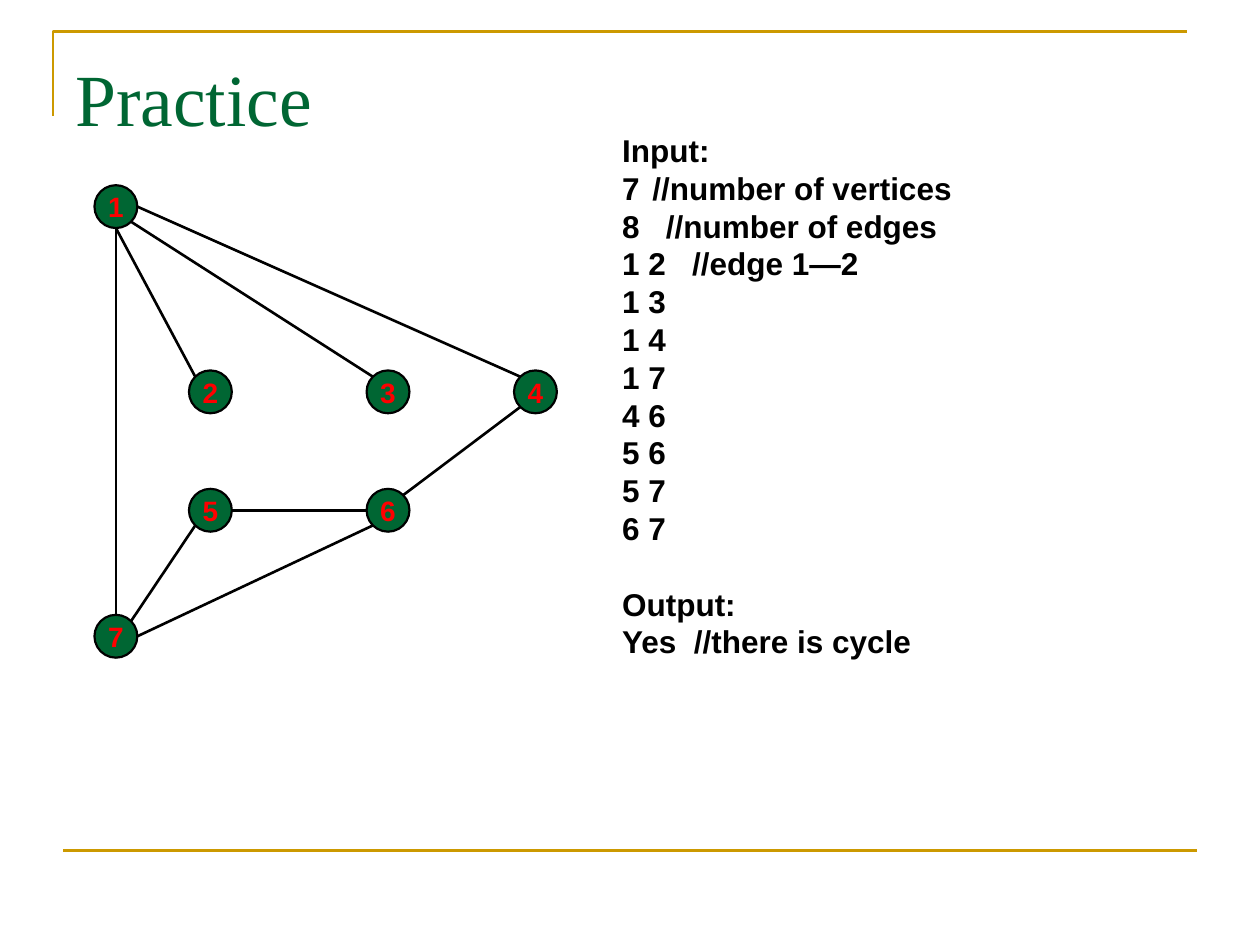
import math

from lxml import etree
from pptx import Presentation
from pptx.dml import color
from pptx.enum import shapes, text
from pptx.oxml import ns
from pptx.util import Inches, Pt

GREEN, GOLD, RED, BLACK = "006633", "CC9900", "FF0000", "000000"
RADIUS = 0.17
NODES = {
    "1": (0.92, 1.64), "2": (1.67, 3.11), "3": (3.08, 3.11), "4": (4.25, 3.11),
    "5": (1.67, 4.05), "6": (3.08, 4.05), "7": (0.92, 5.05),
}
# Clockwise angles from the right, as y grows downwards
RIGHT, BOTTOM_RIGHT, BOTTOM, BOTTOM_LEFT = 0, 45, 90, 135
LEFT, TOP_LEFT, TOP, TOP_RIGHT = 180, 225, 270, 315
EDGES = [
    ("1", BOTTOM, "2", TOP_LEFT), ("1", BOTTOM_RIGHT, "3", TOP_LEFT),
    ("1", RIGHT, "4", TOP_LEFT), ("1", BOTTOM, "7", TOP),
    ("4", BOTTOM_LEFT, "6", TOP_RIGHT), ("5", RIGHT, "6", LEFT),
    ("5", BOTTOM_LEFT, "7", TOP_RIGHT), ("6", BOTTOM_LEFT, "7", RIGHT),
]
INPUT_LINES = [
    "Input:", "//number of vertices", "8   //number of edges", "1 2   //edge 1—2",
    "1 3", "1 4", "1 7", "4 6", "5 6", "5 7", "6 7",
]
OUTPUT_LINES = ["Output:", "Yes  //there is cycle"]


def rgb(value):
    return color.RGBColor.from_string(value)


def rim_point(node, angle):
    """Point on the rim of a node, in inches."""
    x, y = NODES[node]
    turn = math.radians(angle)
    return x + RADIUS * math.cos(turn), y + RADIUS * math.sin(turn)


def number_paragraph(paragraph, start, indent):
    """Give a paragraph an automatic number with a hanging indent."""
    props = paragraph._p.get_or_add_pPr()
    props.set("marL", str(Inches(indent)))
    props.set("indent", str(-Inches(indent)))
    etree.SubElement(props, ns.qn("a:buFont"), typeface="Arial")
    etree.SubElement(props, ns.qn("a:buAutoNum"), type="arabicPlain", startAt=str(start))


class Painter:
    """Holds the slide and the style of its elements."""

    def __init__(self, slide):
        self.shapes = slide.shapes

    def style_font(self, paragraph, size, colour, name="Arial", bold=True):
        font = paragraph.font
        font.size, font.name, font.bold = Pt(size), name, bold
        font.color.rgb = rgb(colour)

    def line(self, start, end, colour=BLACK):
        connector = self.shapes.add_connector(
            shapes.MSO_CONNECTOR.STRAIGHT, *(Inches(v) for v in (*start, *end)))
        connector.line.color.rgb = rgb(colour)
        connector.line.width = Pt(1.5)
        etree.SubElement(connector._element.spPr, ns.qn("a:effectLst"))

    def corner(self, start, *points):
        """Open outline through the given points."""
        builder = self.shapes.build_freeform(*(Inches(v) for v in start))
        builder.add_line_segments([(Inches(x), Inches(y)) for x, y in points], close=False)
        outline = builder.convert_to_shape()
        outline.shadow.inherit = False
        outline.fill.background()
        outline.line.color.rgb = rgb(GOLD)
        outline.line.width = Pt(1.5)

    def node(self, label):
        x, y = NODES[label]
        circle = self.shapes.add_shape(
            shapes.MSO_SHAPE.OVAL, Inches(x - RADIUS), Inches(y - RADIUS),
            Inches(2 * RADIUS), Inches(2 * RADIUS))
        circle.shadow.inherit = False
        circle.fill.solid()
        circle.fill.fore_color.rgb = rgb(GREEN)
        circle.line.color.rgb = rgb(BLACK)
        circle.line.width = Pt(1.25)
        frame = circle.text_frame
        frame.word_wrap = False
        frame.vertical_anchor = text.MSO_ANCHOR.MIDDLE
        paragraph = frame.paragraphs[0]
        paragraph.text = label
        paragraph.alignment = text.PP_ALIGN.CENTER
        self.style_font(paragraph, 16, RED)

    def text_box(self, left, top, width, height):
        frame = self.shapes.add_textbox(*map(Inches, (left, top, width, height))).text_frame
        frame.word_wrap = True
        return frame

    def title(self, wording):
        frame = self.text_box(0.5, 0.3, 9, 1.25)
        frame.margin_top = Inches(0.12)
        frame.text = wording
        self.style_font(frame.paragraphs[0], 42, GREEN, "Times New Roman", False)

    def sample(self, input_lines, output_lines):
        frame = self.text_box(4.84, 0.99, 4.73, 4.3)
        frame.text = "\n".join(input_lines + output_lines)
        number_paragraph(frame.paragraphs[1], start=7, indent=0.24)
        line_height = Pt(21.6)
        for paragraph in frame.paragraphs:
            paragraph.line_spacing = line_height
            self.style_font(paragraph, 18, BLACK)
        frame.paragraphs[len(input_lines)].space_before = line_height


def main():
    deck = Presentation()
    deck.slide_width, deck.slide_height = Inches(10), Inches(7.5)
    painter = Painter(deck.slides.add_slide(deck.slide_layouts[6]))

    painter.corner((0.42, 0.92), (0.42, 0.25), (9.42, 0.25))
    painter.line((0.5, 6.75), (9.5, 6.75), GOLD)
    painter.title("Practice")
    for label in NODES:
        painter.node(label)
    for first, first_angle, second, second_angle in EDGES:
        painter.line(rim_point(first, first_angle), rim_point(second, second_angle))
    painter.sample(INPUT_LINES, OUTPUT_LINES)

    deck.save("out.pptx")


if __name__ == "__main__":
    main()
